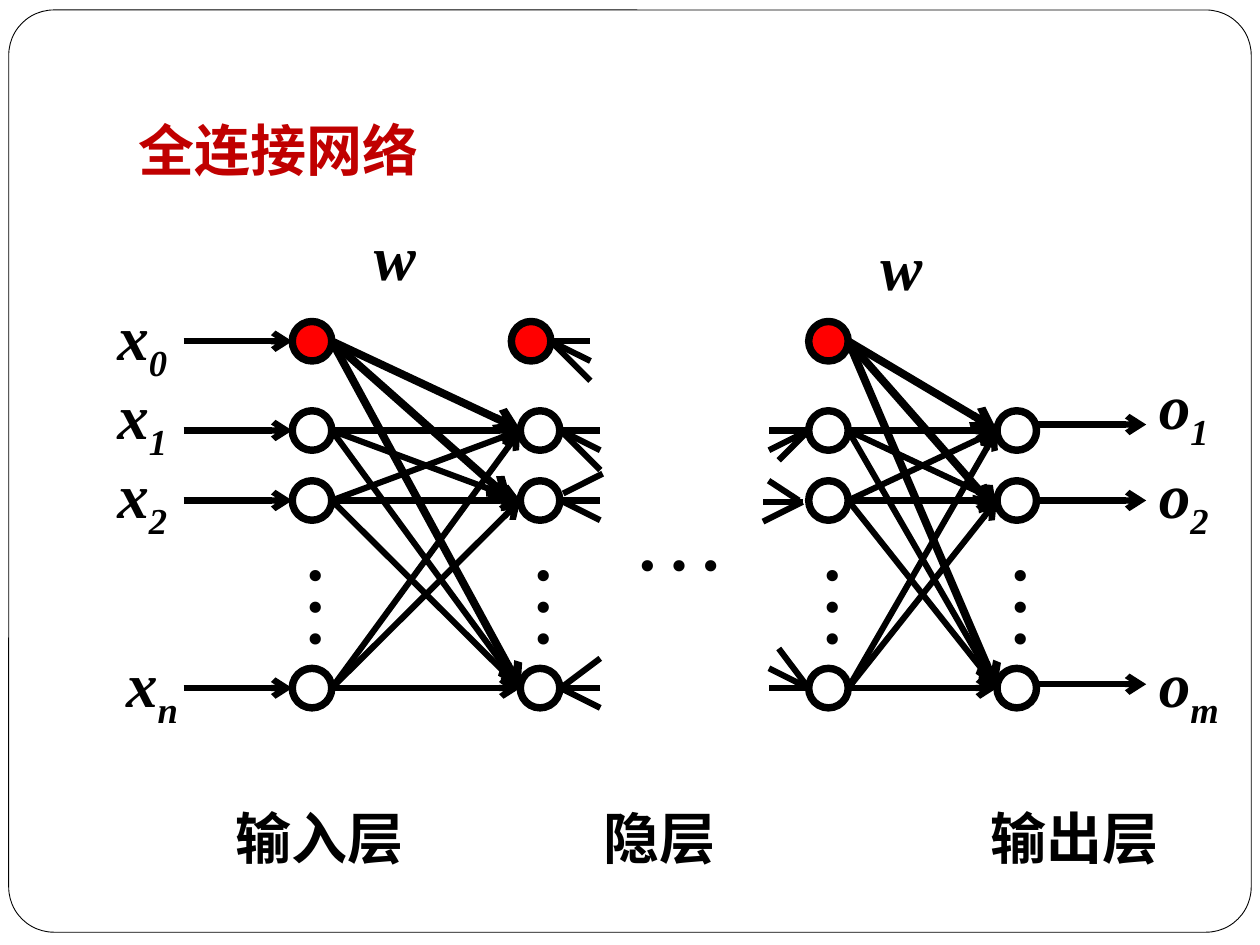
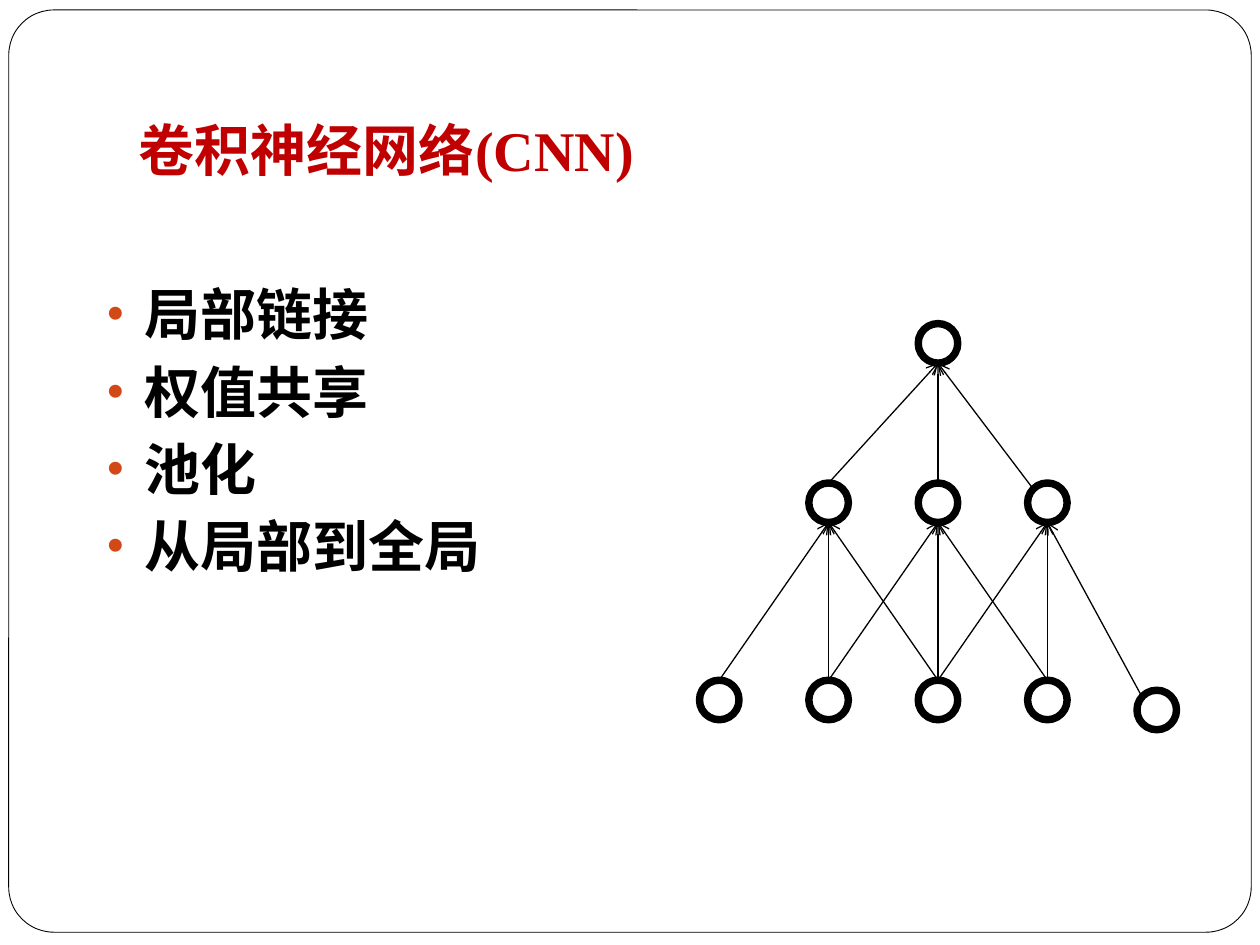
from dataclasses import dataclass
from itertools import product

from lxml import etree
from pptx import Presentation
from pptx.dml.color import RGBColor
from pptx.enum import shapes, text
from pptx.oxml import ns
from pptx.util import Pt


@dataclass(frozen=True)
class Theme:
    face: str = "Times New Roman"
    ink: str = "000000"
    paper: str = "FFFFFF"
    title: str = "C00000"
    bias: str = "FF0000"
    bullet: str = "D34817"
    head: int = 32
    sign: int = 36
    dots: int = 54
    ring: float = 4.25
    bold: float = 4.5
    link: float = 3.5
    thin: float = 0.75
    edge: float = 0.5


T = Theme()
R = 11.3


def put(item, **values):
    for name, value in values.items():
        setattr(item, name, value)


def place(item, x, y, w, h):
    put(item, left=Pt(x), top=Pt(y), width=Pt(w), height=Pt(h))


def tint(color, code):
    color.rgb = RGBColor.from_string(code)


def tag(parent, name, **values):
    return etree.SubElement(parent, ns.qn(name), values)


def write(para, words, size, color=T.ink, bold=True, slant=False):
    run = para.add_run()
    run.text = words
    put(run.font, name=T.face, size=Pt(size), bold=bold, italic=slant)
    tint(run.font.color, color)
    return run


def shape(slide, kind, x, y, w, h, width, fill=None):
    item = slide.shapes.add_shape(kind, Pt(x), Pt(y), Pt(w), Pt(h))
    item.shadow.inherit = False
    if fill:
        item.fill.solid()
        tint(item.fill.fore_color, fill)
    else:
        item.fill.background()
    tint(item.line.color, T.ink)
    item.line.width = Pt(width)
    return item


def node(slide, x, y, fill=None):
    shape(slide, shapes.MSO_SHAPE.OVAL, x - R, y - R, 2 * R, 2 * R, T.ring, fill)


def line(slide, start, end, width=T.link, arrow=True):
    ends = [Pt(v) for v in (*start, *end)]
    item = slide.shapes.add_connector(shapes.MSO_CONNECTOR.STRAIGHT, *ends)
    tint(item.line.color, T.ink)
    item.line.width = Pt(width)
    if arrow:
        tag(item.line._get_or_add_ln(), "a:tailEnd", type="arrow")
    tag(item.element.spPr, "a:effectLst")


def box(slide, x, y, w, h):
    item = slide.shapes.add_textbox(Pt(x), Pt(y), Pt(w), Pt(h))
    item.text_frame.word_wrap = True
    return item.text_frame


def sign(slide, x, y, word, sub="", w=91):
    para = box(slide, x, y, w, 51).paragraphs[0]
    write(para, word, T.sign, slant=True)
    if sub:
        run = write(para, sub, T.sign, slant=True)
        run.font._element.set("baseline", "-25000")


def dots(slide, x, y, w, h, down=False):
    frame = box(slide, x, y, w, h)
    para = frame.paragraphs[0]
    write(para, "…", T.dots, bold=False)
    if down:
        frame._txBody.bodyPr.set("vert", "eaVert")
        para._p.get_or_add_pPr().set("marL", str(Pt(27)))


def page(deck, layout, words):
    slide = deck.slides.add_slide(deck.slide_layouts[layout])
    title = slide.shapes.title
    place(title, 72, 21.6, 612, 90)
    frame = title.text_frame
    put(frame, vertical_anchor=text.MSO_ANCHOR.BOTTOM, word_wrap=True,
        auto_size=text.MSO_AUTO_SIZE.NONE, margin_bottom=Pt(7.2))
    para = frame.paragraphs[0]
    para.alignment = text.PP_ALIGN.LEFT
    write(para, words, T.head, T.title)
    return slide


def border(deck, slide):
    item = shape(slide, shapes.MSO_SHAPE.ROUNDED_RECTANGLE,
                 5, 5.7, 710, 527, T.edge, T.paper)
    item.adjustments[0] = 0.049
    item.element.nvSpPr.cNvPr.set("id", "20")
    deck.slide_master.element.cSld.spTree.insert(2, item.element)


def listing(slide, lines):
    body = slide.placeholders[1]
    place(body, 54, 156.2, 272, 324)
    frame = body.text_frame
    frame.auto_size = text.MSO_AUTO_SIZE.NONE
    for i, words in enumerate(lines):
        para = frame.add_paragraph() if i else frame.paragraphs[0]
        para.space_before = Pt(5.8)
        write(para, words, T.head)
        props = para._p.get_or_add_pPr()
        props.set("marL", str(Pt(21.6)))
        props.set("indent", str(Pt(-21.6)))
        tag(tag(props, "a:buClr"), "a:srgbClr", val=T.bullet)
        tag(props, "a:buSzPct", val="85000")
        tag(props, "a:buFont", typeface="Arial")
        tag(props, "a:buChar", char="•")


def dense(slide):
    cols = (178.3, 308.6, 473.4, 581)
    rows = (246, 286, 393.2)
    top = 195
    for x, y in product(cols, rows):
        node(slide, x, y)
    for a, b in (cols[:2], cols[2:]):
        for y, z in product(rows, rows):
            line(slide, (a + R, y), (b - R, z))
    for y in (top, *rows):
        line(slide, (105, y), (cols[0] - R, y))
    for y in (242.6, 286, 391):
        line(slide, (592.6, y), (655, y))
    for x in cols:
        dots(slide, x - 22.6, 286, 80, 102, down=True)
    dots(slide, 354, 268.5, 91, 73)

    stubs = (
        (314.8, 195, ((22.6, 0), (22.6, 11.3), (22.6, 22.6))),
        (320.4, 246, ((22.6, 0), (22.6, 11.3), (22.6, 22.6))),
        (320.4, 286, ((22.6, 0), (22.6, 11.3))),
        (321.8, 282, ((22.6, -11.3),)),
        (320.4, 393.2, ((22.6, 0), (22.6, 11.3), (22.6, -17))),
        (462, 246, ((-22.6, 0), (-22.6, 11.3), (-17, 17))),
        (458.6, 286.8, ((-22.6, 0), (-22.6, 11.3))),
        (456.5, 286, ((-17.3, -11.3),)),
        (462, 393.2, ((-22.6, 0), (-22.6, -11.3), (-17, -22.6))),
    )
    for x, y, ends in stubs:
        for dx, dy in ends:
            line(slide, (x, y), (x + dx, y + dy), arrow=False)

    for x in (cols[0], 303.5, cols[2]):
        node(slide, x, top, T.bias)
    fans = ((cols[0], ((297.4, 245.5), (292.3, 286), (297.4, 393.2))),
            (cols[2], ((569.6, 245.5), (569.6, 291.6), (569.6, 393.2))))
    for x, tips in fans:
        for tip in tips:
            line(slide, (x + R, top), tip, T.bold)

    for x, y, sub in ((60, 166.3, "0"), (60, 211.7, "1"),
                      (60, 257, "2"), (65, 365, "n")):
        sign(slide, x, y, "x", sub)
    for y, sub in ((206, "1"), (257, "2"), (365, "m")):
        sign(slide, 655.2, y, "o", sub, 64)
    for x, y in ((206.6, 121), (496, 126.7)):
        sign(slide, x, y, "w")
    for x, words in ((127.4, "输入层"), (337.7, "隐层"), (558.7, "输出层")):
        write(box(slide, x, 455.8, 130, 46).paragraphs[0], words, T.head)


def local(slide):
    xs = [411 + 62.5 * i for i in range(5)]
    peak, mid, base = 196.2, 287.3, 400
    node(slide, xs[2], peak)
    for x in xs[1:4]:
        node(slide, x, mid)
    for x in xs[:4]:
        node(slide, x, base)
    node(slide, xs[4], 405.7)
    feet = [(x, base - R) for x in xs[:4]] + [(652.5, 398)]
    for i in range(3):
        for foot in feet[i:i + 3]:
            line(slide, foot, (xs[i + 1], mid + R), T.thin)
    for foot in ((xs[1], mid - R), (xs[2], mid - R), (590.4, 279.4)):
        line(slide, foot, (xs[2], peak + R), T.thin)


def main():
    deck = Presentation()
    put(deck, slide_width=Pt(720), slide_height=Pt(540))
    first = page(deck, 5, "全连接网络")
    border(deck, first)
    dense(first)
    second = page(deck, 1, "卷积神经网络(CNN)")
    listing(second, ("局部链接", "权值共享", "池化", "从局部到全局"))
    local(second)
    deck.save("out.pptx")


if __name__ == "__main__":
    main()
